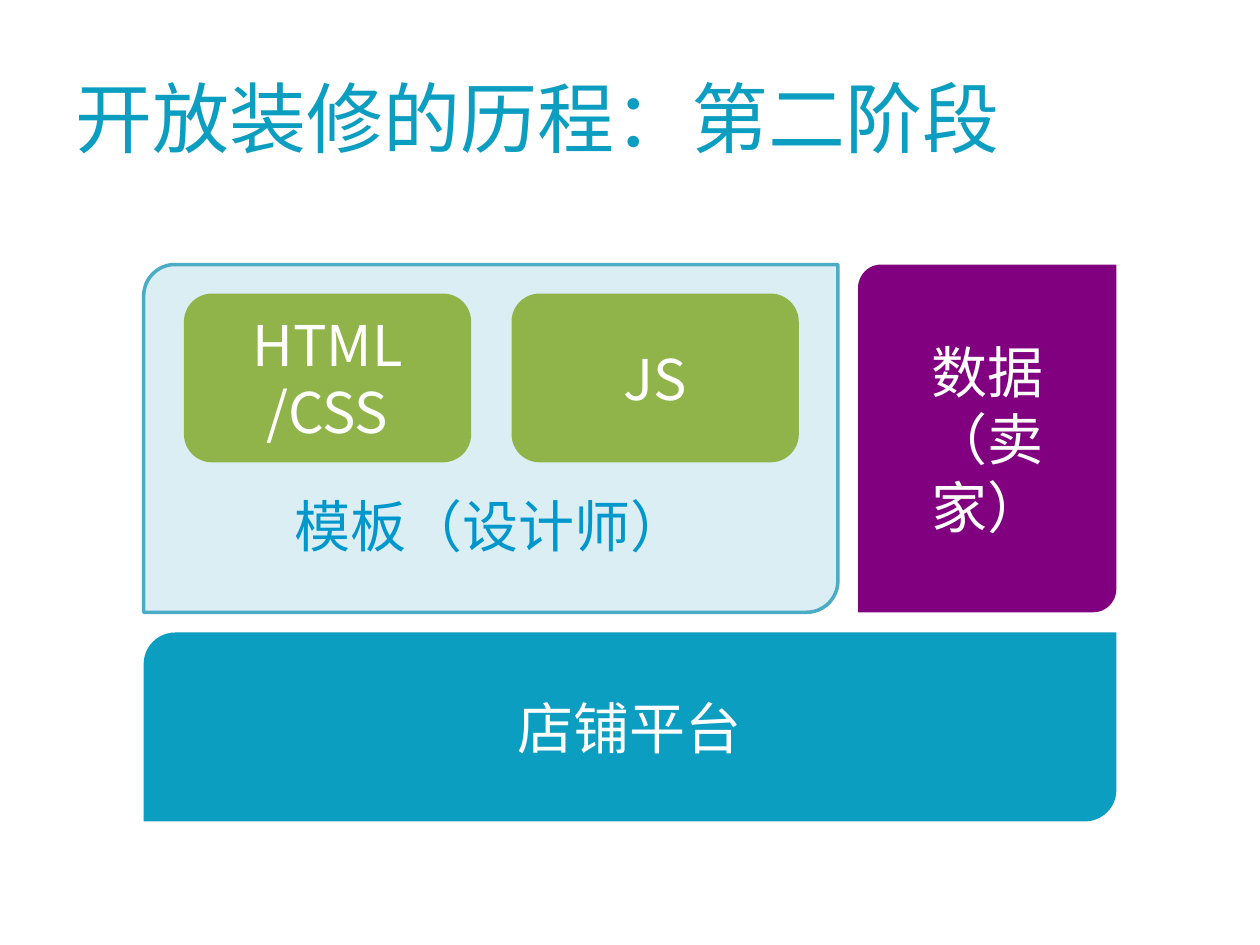
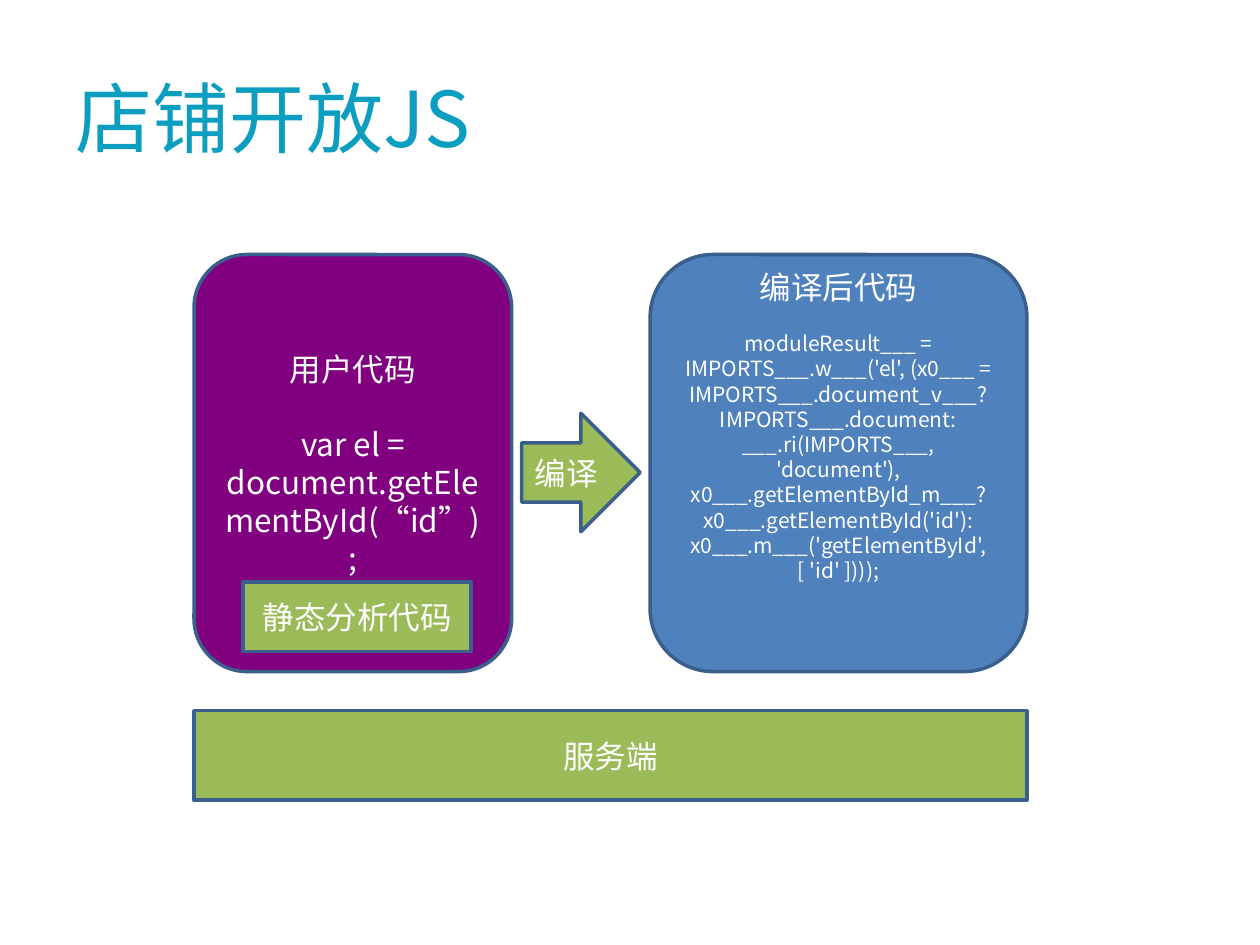
import collections

import pptx
import pptx.dml.color
import pptx.enum.shapes
import pptx.enum.text
import pptx.oxml
import pptx.oxml.ns
import pptx.util

FONT = "Noto Sans CJK SC"
COLORS = {
    "title": "0C9EC0",
    "white": "FFFFFF",
    "panel": "DBEEF4",
    "panel_edge": "4BACC6",
    "panel_text": "0097CC",
    "purple": "800080",
    "leaf": "91B44A",
    "green": "9BBB59",
    "blue": "4F81BD",
    "edge": "3A5F8C",
}
COLUMNS, ROWS = 100, 75
CELL = pptx.util.Inches(0.1)
LEADING = 1.2
INSET = 0.05
SHAPE = pptx.enum.shapes.MSO_SHAPE
ANCHOR = pptx.enum.text.MSO_ANCHOR
ALIGN = pptx.enum.text.PP_ALIGN

Line = collections.namedtuple("Line", "text size gap", defaults=(0,))


class Box(collections.namedtuple("Box", "left top width height")):
    """A rectangle in grid columns and rows."""

    def inner(self, left, top, width, height):
        """Return a box whose corner is offset from this one's corner."""
        return Box(self.left + left, self.top + top, width, height)

    def lengths(self):
        """Return left, top, width and height as slide lengths."""
        return [round(cells * CELL) for cells in self]


def rgb(name):
    """Return the named palette colour."""
    return pptx.dml.color.RGBColor.from_string(COLORS[name])


def write(frame, lines, color, align, anchor=ANCHOR.MIDDLE, bottom=INSET):
    """Fill a text frame with lines, one paragraph each."""
    frame.word_wrap = True
    frame.vertical_anchor = anchor
    frame.margin_bottom = pptx.util.Inches(bottom)
    for index, line in enumerate(lines):
        paragraph = frame.add_paragraph() if index else frame.paragraphs[0]
        paragraph.alignment = align
        paragraph.line_spacing = pptx.util.Pt(line.size * LEADING)
        paragraph.space_before = pptx.util.Pt(line.gap)
        run = paragraph.add_run()
        run.text = line.text
        run.font.size = pptx.util.Pt(line.size)
        run.font.name = FONT
        run.font.color.rgb = rgb(color)
        east_asian = pptx.oxml.parse_xml(
            f'<a:ea {pptx.oxml.ns.nsdecls("a")} typeface="{FONT}"/>')
        run.font._element.find(pptx.oxml.ns.qn("a:latin")).addnext(east_asian)


def block(slide, box, kind, fill, lines, edge=None, corner=None,
          color="white", anchor=ANCHOR.MIDDLE, bottom=INSET):
    """Draw one filled, labelled block."""
    shape = slide.shapes.add_shape(kind, *box.lengths())
    shape.shadow.inherit = False
    shape.fill.solid()
    shape.fill.fore_color.rgb = rgb(fill)
    if edge:
        shape.line.color.rgb = rgb(edge)
        shape.line.width = pptx.util.Pt(2)
    else:
        shape.line.fill.background()
    if corner is not None:
        shape.adjustments[0] = corner
    write(shape.text_frame, lines, color, ALIGN.CENTER, anchor, bottom)


def titled_slide(deck, heading):
    """Add a blank slide with the shared title style."""
    slide = deck.slides.add_slide(deck.slide_layouts[6])
    title = slide.shapes.add_textbox(*Box(5, 3, 90, 12.5).lengths())
    write(title.text_frame, [Line(heading, 44)], "title", ALIGN.LEFT)
    return slide


def template_panel(slide, box):
    """Draw the designer template with its evenly spaced languages."""
    block(slide, box, SHAPE.ROUND_2_DIAG_RECTANGLE, "panel",
          [Line("模板（设计师）", 32)], "panel_edge", 0.09, "panel_text",
          ANCHOR.BOTTOM, 0.35)
    margin, width = 3.2, 22.8
    for index, words in enumerate((["HTML", "/CSS"], ["JS"])):
        language = box.inner(margin + index * (width + margin), 2.3, width, 13.4)
        block(slide, language, SHAPE.ROUNDED_RECTANGLE, "leaf",
              [Line(word, 32) for word in words])


def stage_diagram(slide, box):
    """Stack template and data on the shop platform."""
    template_width, data_width, upper, lower = 55.1, 20.5, 27.6, 15
    block(slide, box.inner(0, box.height - lower, box.width, lower),
          SHAPE.ROUND_2_DIAG_RECTANGLE, "title", [Line("店铺平台", 32)])
    template_panel(slide, box.inner(0, 0, template_width, upper))
    block(slide, box.inner(box.width - data_width, 0, data_width, upper),
          SHAPE.ROUND_2_DIAG_RECTANGLE, "purple",
          [Line("数据", 32), Line("（卖家）", 32)], corner=0.09)


def user_code(slide, box):
    """Draw the user's code with its static analysis step."""
    block(slide, box, SHAPE.ROUNDED_RECTANGLE, "purple",
          [Line("用户代码", 18),
           Line("var el = document.getElementById(“id”) ;", 18, 18 * LEADING)],
          "edge")
    block(slide, box.inner(3.9, 26, 18.1, 5.5), SHAPE.RECTANGLE, "green",
          [Line("静态分析代码", 18)], "edge")


def compiled_code(slide, box):
    """Draw the code that the compiler returns."""
    code = ("moduleResult___ = IMPORTS___.w___('el', (x0___ = "
            "IMPORTS___.document_v___? IMPORTS___.document: "
            "___.ri(IMPORTS___, 'document'), x0___.getElementById_m___? "
            "x0___.getElementById('id'): "
            "x0___.m___('getElementById', [ 'id' ])));")
    block(slide, box, SHAPE.ROUNDED_RECTANGLE, "blue",
          [Line("编译后代码", 18), Line(code, 12, 12 * LEADING)],
          "edge", bottom=0.65)


def compile_diagram(slide, box):
    """Show user code compiled into safe code above the server."""
    user_width, compiled_width, upper, server, arrow = 25.2, 29.9, 33.1, 7.1, 9.4
    gap = box.width - user_width - compiled_width
    user_code(slide, box.inner(0, 0, user_width, upper))
    block(slide, box.inner(0, box.height - server, box.width, server),
          SHAPE.RECTANGLE, "green", [Line("服务端", 18)], "edge")
    compiled_code(slide, box.inner(user_width + gap, 0, compiled_width, upper))
    block(slide, box.inner(user_width + (gap - arrow) / 2, 12.6, arrow, arrow),
          SHAPE.RIGHT_ARROW, "green", [Line("编译", 18)], "edge")


def main():
    """Build and save both slides."""
    deck = pptx.Presentation()
    deck.slide_width, deck.slide_height = COLUMNS * CELL, ROWS * CELL
    stage_diagram(titled_slide(deck, "开放装修的历程：第二阶段"),
                  Box(11.4, 21, 77.2, 44.2))
    compile_diagram(titled_slide(deck, "店铺开放JS"),
                    Box(15.4, 20.2, 66.1, 43.3))
    deck.save("out.pptx")


if __name__ == "__main__":
    main()
